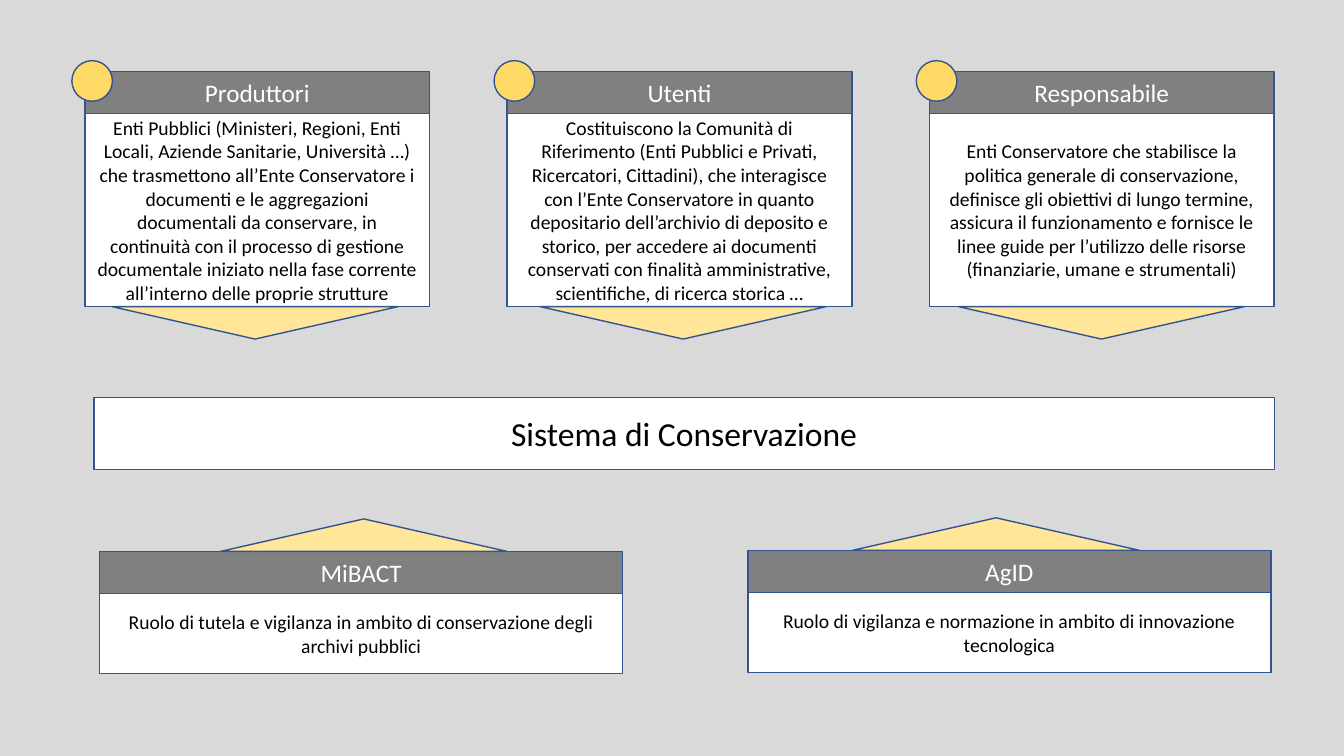
from dataclasses import dataclass

from pptx import Presentation
from pptx.dml.color import RGBColor
from pptx.enum.shapes import MSO_SHAPE
from pptx.enum.text import MSO_ANCHOR, MSO_AUTO_SIZE, PP_ALIGN
from pptx.util import Pt


@dataclass(frozen=True)
class Theme:
    font: str = "Calibri"
    background: str = "D9D9D9"
    outline: str = "325491"
    white: str = "FFFFFF"
    black: str = "000000"
    header: str = "808080"
    badge: str = "FFD966"
    pointer: str = "FFE699"
    title_size: int = 24
    header_size: int = 18
    body_size: int = 14


class SlideBuilder:
    HEADER_HEIGHT = 30
    BADGE_SIZE = 29
    POINTER_WIDTH = 204.5
    POINTER_HEIGHT = 23.2

    def __init__(self, page, theme):
        self.page = page
        self.theme = theme
        page.background.fill.solid()
        page.background.fill.fore_color.rgb = RGBColor.from_string(theme.background)

    def paint(self, box, color):
        box.fill.solid()
        box.fill.fore_color.rgb = RGBColor.from_string(color)
        box.line.color.rgb = RGBColor.from_string(self.theme.outline)
        box.line.width = Pt(1)

    def label(self, box, text, size, color):
        frame = box.text_frame
        frame.text = text
        frame.word_wrap = True
        frame.auto_size = MSO_AUTO_SIZE.NONE
        frame.vertical_anchor = MSO_ANCHOR.MIDDLE
        paragraph = frame.paragraphs[0]
        paragraph.alignment = PP_ALIGN.CENTER
        paragraph.line_spacing = 1.0
        paragraph.space_before = Pt(0)
        font = paragraph.runs[0].font
        font.name = self.theme.font
        font.size = Pt(size)
        font.color.rgb = RGBColor.from_string(color)

    def shape(self, shapes, kind, left, top, width, height, color):
        box = shapes.add_shape(kind, Pt(left), Pt(top), Pt(width), Pt(height))
        box.shadow.inherit = False
        self.paint(box, color)
        return box

    def title(self, text, left, top, width, height):
        box = self.page.shapes.title
        box.left, box.top, box.width, box.height = map(Pt, (left, top, width, height))
        self.paint(box, self.theme.white)
        self.label(box, text, self.theme.title_size, self.theme.black)

    def card(self, heading, text, left, top, width, body_height, badge=False):
        theme = self.theme
        shapes = self.page.shapes.add_group_shape().shapes
        body = self.shape(shapes, MSO_SHAPE.RECTANGLE, left, top + self.HEADER_HEIGHT,
                          width, body_height, theme.white)
        self.label(body, text, theme.body_size, theme.black)
        header = self.shape(shapes, MSO_SHAPE.RECTANGLE, left, top,
                            width, self.HEADER_HEIGHT, theme.header)
        self.label(header, heading, theme.header_size, theme.white)
        if badge:
            self.shape(shapes, MSO_SHAPE.OVAL, left - 9.3, top - 7.7,
                       self.BADGE_SIZE, self.BADGE_SIZE, theme.badge)

    def pointer(self, left, top, down=False):
        box = self.shape(self.page.shapes, MSO_SHAPE.ISOSCELES_TRIANGLE, left, top,
                         self.POINTER_WIDTH, self.POINTER_HEIGHT, self.theme.pointer)
        box.rotation = 180 if down else 0


ACTORS = [
    ("Produttori", "Enti Pubblici (Ministeri, Regioni, Enti Locali, Aziende Sanitarie, "
     "Università …) che trasmettono all’Ente Conservatore i documenti e le aggregazioni "
     "documentali da conservare, in continuità con il processo di gestione documentale "
     "iniziato nella fase corrente all’interno delle proprie strutture", 79.9),
    ("Utenti", "Costituiscono la Comunità di Riferimento (Enti Pubblici e Privati, "
     "Ricercatori, Cittadini), che interagisce con l’Ente Conservatore in quanto "
     "depositario dell’archivio di deposito e storico, per accedere ai documenti "
     "conservati con finalità amministrative, scientifiche, di ricerca storica …", 385.7),
    ("Responsabile", "Enti Conservatore che stabilisce la politica generale di "
     "conservazione, definisce gli obiettivi di lungo termine, assicura il funzionamento "
     "e fornisce le linee guide per l’utilizzo delle risorse (finanziarie, umane e "
     "strumentali)", 684.5),
]
AUTHORITIES = [
    ("MiBACT", "Ruolo di tutela e vigilanza in ambito di conservazione degli "
     "archivi pubblici", 71.2, 393.9, 157.6),
    ("AgID", "Ruolo di vigilanza e normazione in ambito di innovazione tecnologica",
     534.2, 393.1, 609.2),
]


def main():
    deck = Presentation()
    deck.slide_width, deck.slide_height = Pt(960), Pt(540)
    builder = SlideBuilder(deck.slides.add_slide(deck.slide_layouts[5]), Theme())

    builder.title("Sistema di Conservazione", 67, 283.9, 843.2, 51.5)
    for column, (heading, text, pointer_left) in enumerate(ACTORS):
        builder.card(heading, text, 60.6 + 301.6 * column, 51, 246.4, 138, badge=True)
        builder.pointer(pointer_left, 219, down=True)
    for heading, text, left, top, pointer_left in AUTHORITIES:
        builder.card(heading, text, left, top, 373.6, 57.4)
        builder.pointer(pointer_left, top - builder.POINTER_HEIGHT)

    deck.save("out.pptx")


if __name__ == "__main__":
    main()
